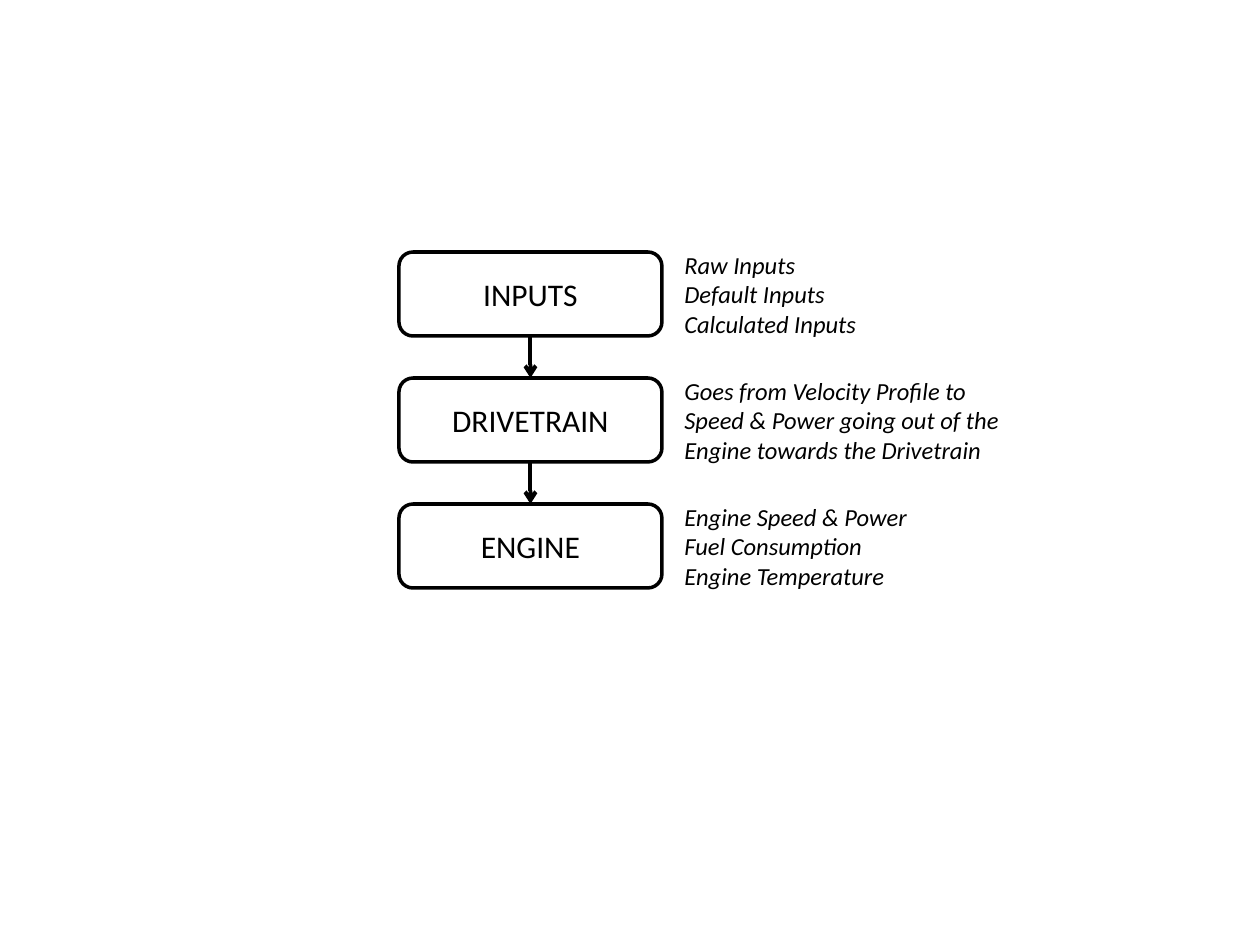
"""Build a slide showing three model stages in a vertical flow with notes."""
from dataclasses import dataclass

from lxml import etree
from pptx import Presentation
from pptx.dml.color import RGBColor
from pptx.enum.shapes import MSO_CONNECTOR, MSO_SHAPE
from pptx.enum.text import MSO_ANCHOR, PP_ALIGN
from pptx.oxml.ns import qn
from pptx.shapes.autoshape import Shape
from pptx.slide import Slide
from pptx.util import Pt

ROUNDED = MSO_SHAPE.ROUNDED_RECTANGLE
RECTANGLE = MSO_SHAPE.RECTANGLE
STRAIGHT = MSO_CONNECTOR.STRAIGHT
MIDDLE = MSO_ANCHOR.MIDDLE
CENTER = PP_ALIGN.CENTER
LEFT = PP_ALIGN.LEFT

BLACK = RGBColor(0x00, 0x00, 0x00)
WHITE = RGBColor(0xFF, 0xFF, 0xFF)
FONT = "Calibri"

EMU_PER_PIXEL = 914400 // 126
PAGE_WIDTH, PAGE_HEIGHT = 1260, 945
STAGE_LEFT, STAGE_WIDTH = 399, 263
NOTE_LEFT = 672
FIRST_TOP, ROW_HEIGHT, ROW_PITCH = 252, 84, 126


@dataclass(frozen=True)
class Stage:
    """A stage with its title, note lines and note width."""

    title: str
    notes: tuple[str, ...]
    note_width: int


STAGES = (
    Stage("INPUTS", ("Raw Inputs", "Default Inputs", "Calculated Inputs"), 200),
    Stage(
        "DRIVETRAIN",
        ("Goes from Velocity Profile to Speed & Power going out of the "
         "Engine towards the Drivetrain",),
        347,
    ),
    Stage("ENGINE", ("Engine Speed & Power", "Fuel Consumption", "Engine Temperature"), 263),
)


def px(pixels: int) -> int:
    """Convert pixels to EMU."""
    return pixels * EMU_PER_PIXEL


def add_box(page: Slide, kind: MSO_SHAPE, left: int, top: int, width: int) -> Shape:
    """Add a white box without a line."""
    box = page.shapes.add_shape(kind, px(left), px(top), px(width), px(ROW_HEIGHT))
    box.shadow.inherit = False
    box.fill.solid()
    box.fill.fore_color.rgb = WHITE
    box.line.fill.background()
    return box


def write(box: Shape, lines: tuple[str, ...], size: int, align: PP_ALIGN, italic: bool) -> None:
    """Write one paragraph per line into the box."""
    frame = box.text_frame
    frame.word_wrap = True
    frame.vertical_anchor = MIDDLE
    for index, line in enumerate(lines):
        para = frame.add_paragraph() if index else frame.paragraphs[0]
        para.alignment = align
        span = para.add_run()
        span.text = line
        span.font.name = FONT
        span.font.size = Pt(size)
        span.font.italic = italic
        span.font.color.rgb = BLACK


def add_stage(page: Slide, stage: Stage, top: int) -> None:
    """Add the outlined stage box and its note."""
    box = add_box(page, ROUNDED, STAGE_LEFT, top, STAGE_WIDTH)
    box.line.color.rgb = BLACK
    box.line.width = Pt(2)
    write(box, (stage.title,), 18, CENTER, False)
    note = add_box(page, RECTANGLE, NOTE_LEFT, top, stage.note_width)
    write(note, stage.notes, 14, LEFT, True)


def add_arrow(page: Slide, top: int) -> None:
    """Add an arrow from the row above down to the given top."""
    center = px(STAGE_LEFT) + px(STAGE_WIDTH) // 2
    start = top - ROW_PITCH + ROW_HEIGHT
    arrow = page.shapes.add_connector(STRAIGHT, center, px(start), center, px(top))
    arrow.line.color.rgb = BLACK
    arrow.line.width = Pt(2.25)
    etree.SubElement(arrow.line._get_or_add_ln(), qn("a:tailEnd"), type="arrow")
    etree.SubElement(arrow._element.spPr, qn("a:effectLst"))


def main() -> None:
    """Build and save the deck."""
    deck = Presentation()
    deck.slide_width, deck.slide_height = px(PAGE_WIDTH), px(PAGE_HEIGHT)
    page = deck.slides.add_slide(deck.slide_layouts[6])
    tops = [FIRST_TOP + index * ROW_PITCH for index in range(len(STAGES))]
    for stage, top in zip(STAGES, tops):
        add_stage(page, stage, top)
    for top in tops[1:]:
        add_arrow(page, top)
    deck.save("out.pptx")


main()
